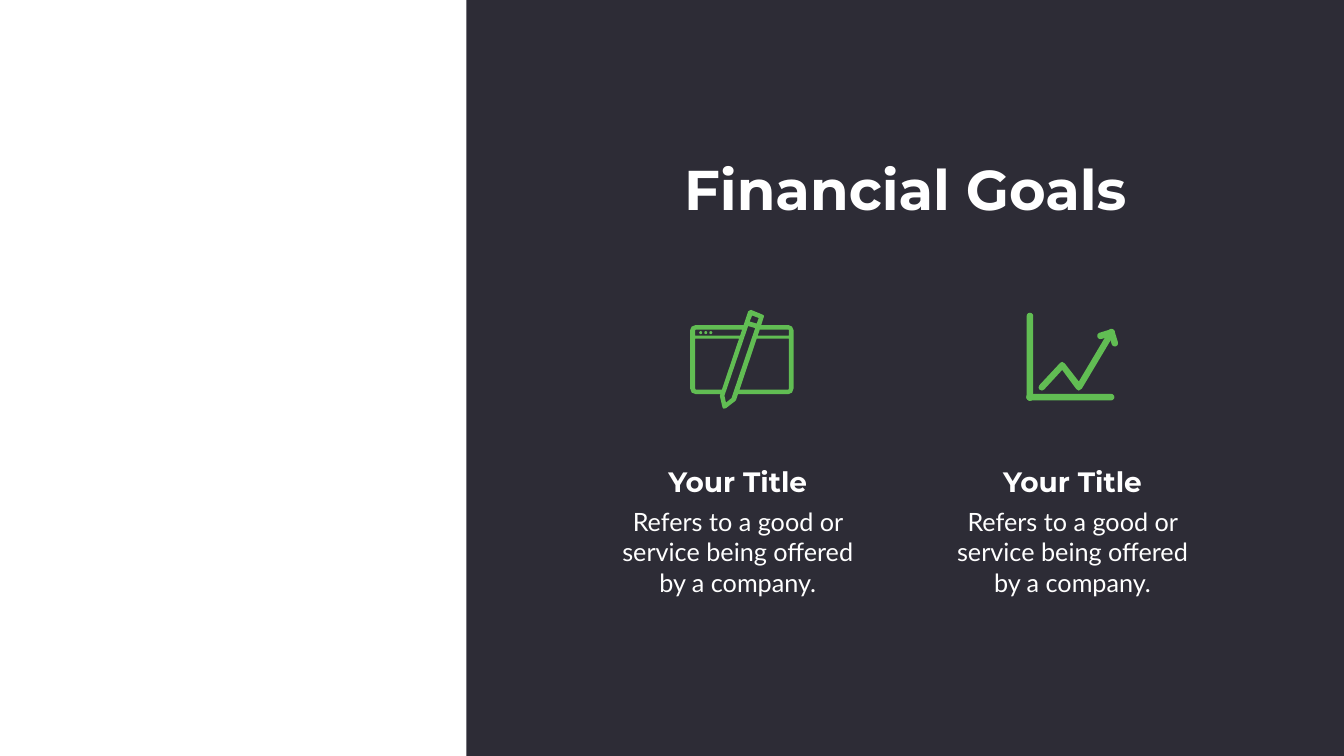
import pptx
import pptx.dml.color
import pptx.enum.shapes
import pptx.enum.text
import pptx.util
from pptx.util import Inches

DARK, WHITE, GREEN = "2D2C36", "FFFFFF", "61BD53"
SHAPES = pptx.enum.shapes.MSO_SHAPE

presentation = pptx.Presentation()
presentation.slide_width = Inches(26.66)
presentation.slide_height = Inches(15)
slide = presentation.slides.add_slide(presentation.slide_layouts[6])


def paint(shape, color):
    shape.shadow.inherit = False
    shape.fill.solid()
    shape.fill.fore_color.rgb = pptx.dml.color.RGBColor.from_string(color)
    shape.line.fill.background()


def add_text(text, left, top, width, height, font_name, size, bold=False, inset=0.1):
    """Add centred white text; the vertical inset is half the horizontal one."""
    box = slide.shapes.add_textbox(Inches(left), Inches(top), Inches(width), Inches(height))
    frame = box.text_frame
    frame.word_wrap = True
    frame.auto_size = pptx.enum.text.MSO_AUTO_SIZE.SHAPE_TO_FIT_TEXT
    frame.margin_left = frame.margin_right = Inches(inset)
    frame.margin_top = frame.margin_bottom = Inches(inset / 2)
    paragraph = frame.paragraphs[0]
    paragraph.text = text
    paragraph.alignment = pptx.enum.text.PP_ALIGN.CENTER
    paragraph.font.name = font_name
    paragraph.font.size = pptx.util.Pt(size)
    paragraph.font.bold = bold
    paragraph.font.color.rgb = pptx.dml.color.RGBColor.from_string(WHITE)


panel = slide.shapes.add_shape(SHAPES.RECTANGLE, Inches(9.25), 0, Inches(17.41), Inches(15))
paint(panel, DARK)

for left in (11.8, 18.44):
    add_text("Refers to a good or service being offered by a company.",
             left, 9.93, 5.67, 2.06, "Lato", 36, inset=0.24)
    add_text("Your Title", left, 9.16, 5.67, 0.77, "Montserrat", 40, bold=True)

# Window with a pencil: the outer contour first, then the openings inside it
window_contours = [
    [(15.64, 6.45), (15.1, 6.45), (15.15, 6.29), (15.15, 6.26), (15.12, 6.24),
     (14.9, 6.15), (14.87, 6.16), (14.84, 6.18), (14.75, 6.45), (13.8, 6.45),
     (13.72, 6.48), (13.69, 6.55), (13.69, 7.71), (13.72, 7.79), (13.8, 7.82),
     (14.29, 7.82), (14.28, 7.86), (14.33, 8.08), (14.35, 8.11), (14.4, 8.1),
     (14.58, 7.96), (14.6, 7.94), (14.64, 7.82), (15.64, 7.82), (15.71, 7.79),
     (15.74, 7.71), (15.74, 6.55), (15.71, 6.48)],
    [(15.64, 7.73), (14.67, 7.73), (15.01, 6.72), (15.65, 6.72), (15.65, 7.71)],
    [(14.4, 7.99), (14.37, 7.85), (14.84, 6.47), (14.98, 6.51), (14.51, 7.9)],
    [(13.8, 7.73), (13.79, 7.71), (13.79, 6.72), (14.66, 6.72), (14.32, 7.73)],
    [(13.8, 6.54), (14.72, 6.54), (14.68, 6.66), (13.79, 6.66), (13.79, 6.55)],
    [(14.92, 6.26), (15.05, 6.31), (15.01, 6.42), (14.87, 6.38)],
    [(15.65, 6.55), (15.65, 6.66), (15.03, 6.66), (15.07, 6.54), (15.64, 6.54)],
]
trend_contours = [
    [(21.4, 7.75), (21.35, 7.72), (21.07, 7.34), (20.71, 7.73), (20.67, 7.75),
     (20.62, 7.73), (20.6, 7.69), (20.62, 7.64), (21.03, 7.2), (21.07, 7.18),
     (21.12, 7.21), (21.4, 7.57), (22, 6.56), (22.04, 6.53), (22.08, 6.54),
     (22.11, 6.57), (22.11, 6.62), (21.46, 7.71)],
]
for contours in (window_contours, trend_contours):
    builder = None
    for contour in contours:
        points = [(Inches(x), Inches(y)) for x, y in contour]
        if builder is None:
            builder = slide.shapes.build_freeform(*points[0])
        else:
            builder.move_to(*points[0])
        builder.add_line_segments(points[1:], close=True)
    paint(builder.convert_to_shape(), GREEN)

for column in range(3):
    dot = slide.shapes.add_shape(SHAPES.OVAL, Inches(13.87 + column * 0.1), Inches(6.57),
                                 Inches(0.06), Inches(0.06))
    paint(dot, GREEN)

# Chart axes and the two barbs of the arrow: centre, length, angle
stroke = 0.13
for center_x, center_y, length, angle in (
    (20.43, 7.08, 1.75, 90),
    (21.23, 7.88, 1.75, 0),
    (22.08, 6.7, 0.36, 73),
    (21.94, 6.63, 0.36, -17),
):
    bar = slide.shapes.add_shape(SHAPES.ROUNDED_RECTANGLE,
                                 Inches(center_x - length / 2), Inches(center_y - stroke / 2),
                                 Inches(length), Inches(stroke))
    bar.adjustments[0] = 0.5
    bar.rotation = angle
    paint(bar, GREEN)

add_text("Financial Goals", 12.89, 3.01, 10.14, 1.45, "Montserrat", 80, bold=True)

presentation.save("out.pptx")
